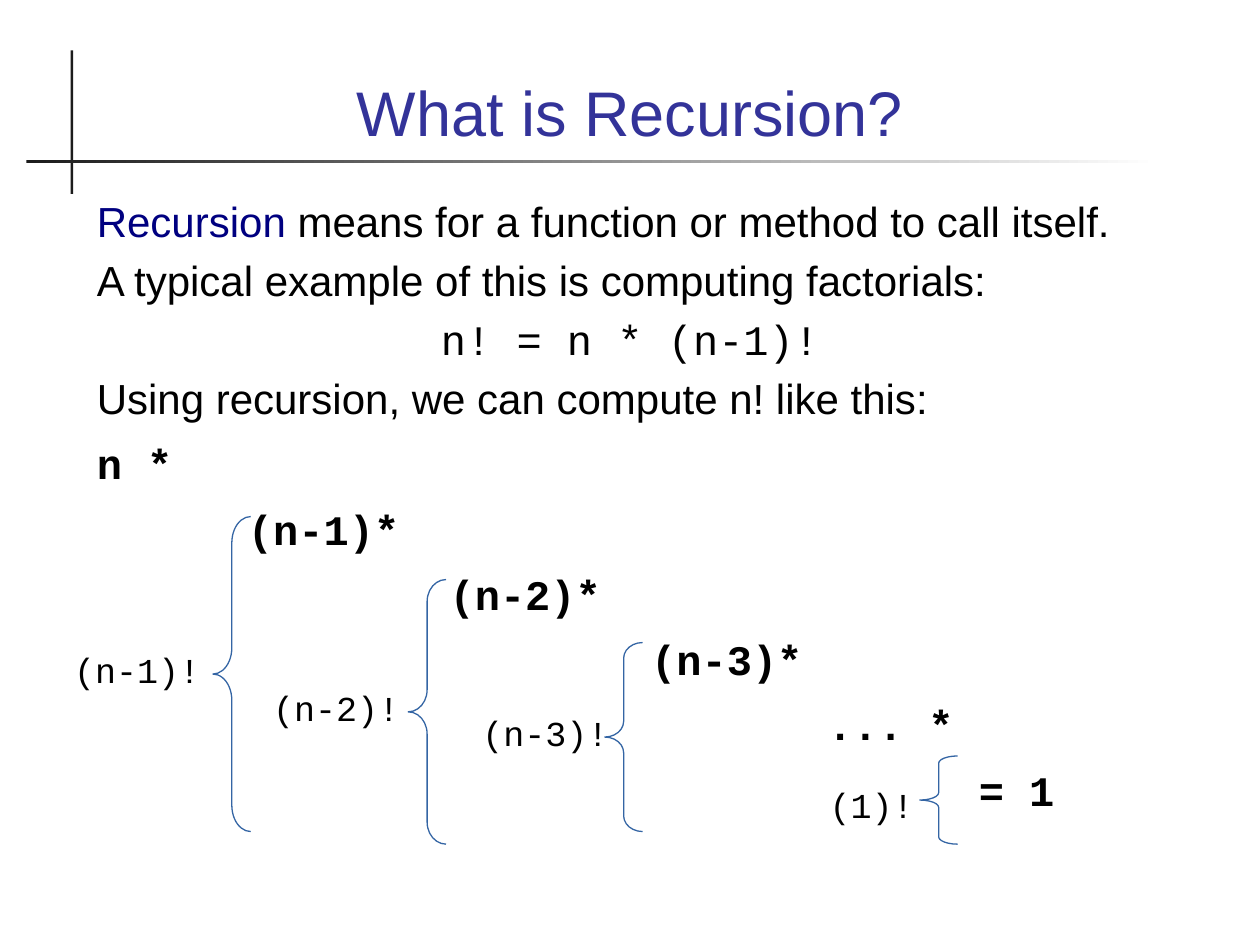
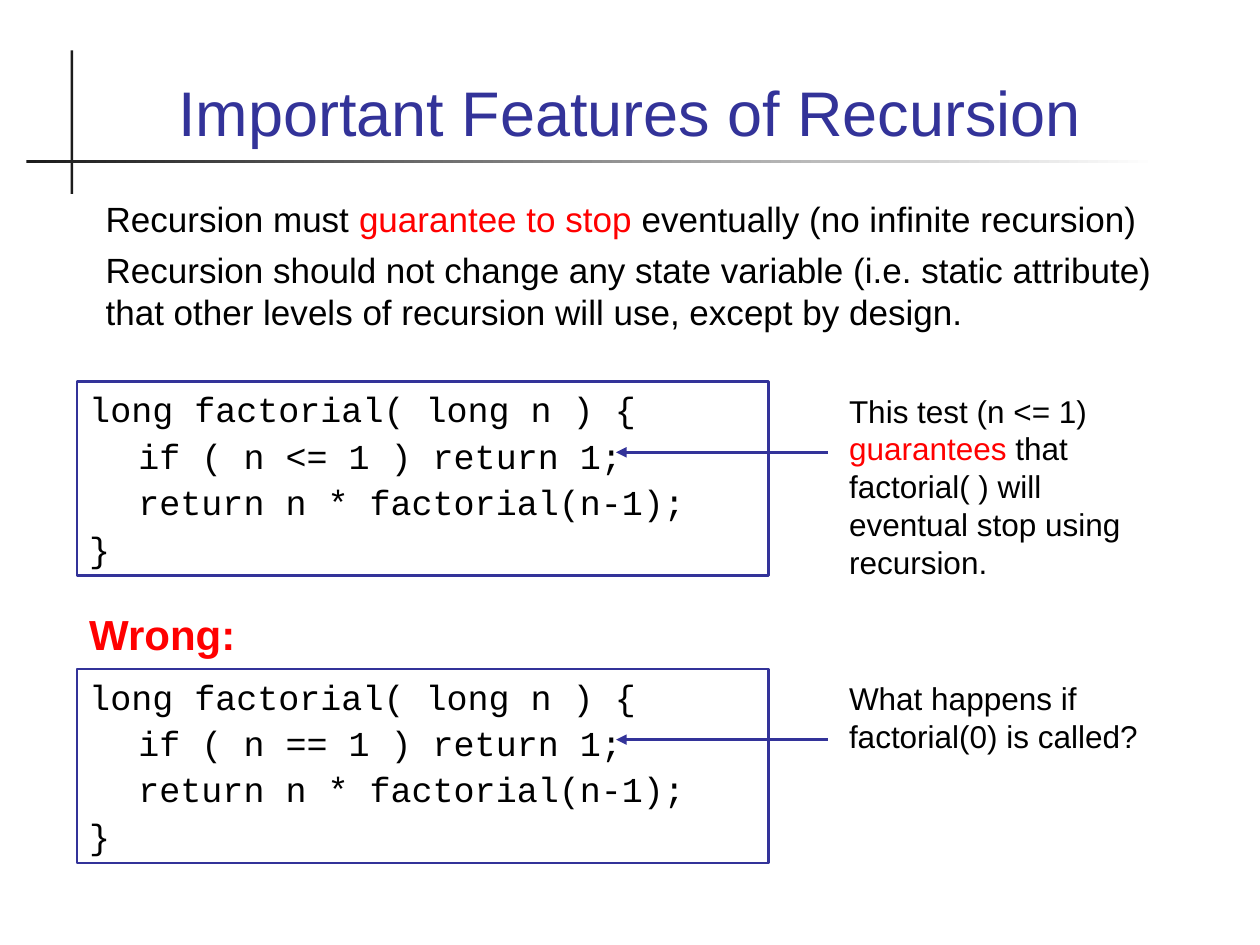
from lxml import etree
from pptx import Presentation
from pptx.dml.color import RGBColor
from pptx.enum.shapes import MSO_CONNECTOR, MSO_SHAPE
from pptx.enum.text import MSO_ANCHOR, PP_ALIGN
from pptx.oxml.ns import qn
from pptx.util import Inches, Pt

RECT, BRACE = MSO_SHAPE.RECTANGLE, MSO_SHAPE.LEFT_BRACE
LEFT, MID, RIGHT = PP_ALIGN.LEFT, PP_ALIGN.CENTER, PP_ALIGN.RIGHT
TOP, BOTTOM = MSO_ANCHOR.TOP, MSO_ANCHOR.BOTTOM
STRAIGHT = MSO_CONNECTOR.STRAIGHT

HEX = {"title": "333399", "term": "000080", "text": "000000", "alert": "FF0000",
       "rule": "1C1C1C", "fade": "FFFFFF", "brace": "3465A4"}
SANS, MONO = "Arial", "Courier New"
LEAD = 1.2      # line height as a multiple of the text size
CHAR = 0.2      # width of one 24 pt monospaced letter
TAB = 0.39

# Content: a paragraph is a list of (text, colour) runs
INTRO = [
    [("Recursion", "term"), (" means for a function or method to call itself.", "text")],
    [("A typical example of this is computing factorials:", "text")],
    [("n! = n * (n-1)!", "text")],
    [("Using recursion, we can compute n! like this:", "text")],
]
FORMULA = 2     # the centred line of INTRO
STEPS = [("n *", 0), ("(n-1)*", 6), ("(n-2)*", 14), ("(n-3)*", 22),
         ("... *", 29), ("= 1", 35)]        # text, indent in letters
BRACES = [(1.69, 4.1, 2.5), (3.24, 4.6, 2.1), (4.8, 5.1, 1.5), (7.3, 6, 0.7)]
LABELS = [("(n-1)!", (0.49, 5.1, 1.2, 0.5), LEFT),
          ("(n-2)!", (2.07, 5.4, 1.2, 0.5), LEFT),
          ("(n-3)!", (3.73, 5.6, 1.2, 0.5), LEFT),
          ("(1)!", (6.35, 6.17, 1, 0.43), RIGHT)]

RULES = [
    [("Recursion must ", "text"), ("guarantee to stop", "alert"),
     (" eventually (no infinite recursion)", "text")],
    [("Recursion should not change any state variable (i.e. static attribute) "
      "that other levels of recursion will use, except by design.", "text")],
]
CODE = ["long factorial( long n ) {", "\tif ( n {} 1 ) return 1;",
        "\treturn n * factorial(n-1);", "}"]
CASES = [   # top, comparison, note, note width and height
    (3.03, "<=", [("This test (n <= 1) ", "text"), ("guarantees", "alert"),
                  (" that factorial( ) will eventual stop using recursion.", "text")],
     (2.52, 1.6)),
    (5.31, "==", [("What happens if factorial(0) is called?", "text")], (2.66, 0.7)),
]


def rgb(name):
    return RGBColor.from_string(HEX[name])


def place(at):
    return [Inches(n) for n in at]


def write(frame, paras, size, font=SANS, bold=False, align=LEFT, gap=0, anchor=TOP):
    """Fill a text frame and return its paragraphs."""
    frame.word_wrap = True
    frame.vertical_anchor = anchor
    for i, runs in enumerate(paras):
        par = frame.paragraphs[0] if i == 0 else frame.add_paragraph()
        par.alignment = align
        par.line_spacing = Pt(size * LEAD)
        par.space_before = Pt(gap if i else 0)
        for text, color in runs:
            run = par.add_run()
            run.text = text
            run.font.size, run.font.name, run.font.bold = Pt(size), font, bold
            run.font.color.rgb = rgb(color)
    return frame.paragraphs


def add_text(slide, at, paras, size, **style):
    return write(slide.shapes.add_textbox(*place(at)).text_frame, paras, size, **style)


def add_form(slide, kind, at, line=None, width=0):
    form = slide.shapes.add_shape(kind, *place(at))
    form.shadow.inherit = False
    form.fill.background()
    if line:
        form.line.color.rgb = rgb(line)
        form.line.width = Pt(width)
    else:
        form.line.fill.background()
    return form


def add_arrow(slide, start, end):
    arrow = slide.shapes.add_connector(STRAIGHT, *place(start + end))
    arrow.line.color.rgb = rgb("title")
    arrow.line.width = Pt(1.5)
    props = arrow.element.spPr
    etree.SubElement(props.find(qn("a:ln")), qn("a:tailEnd"), type="triangle")
    etree.SubElement(props, qn("a:effectLst"))


def add_slide(deck, title):
    """Start a slide with the crossed rules and the title."""
    slide = deck.slides.add_slide(deck.slide_layouts[6])
    bar = add_form(slide, RECT, (0.56, 0.4, 0.02, 1.14))
    bar.fill.solid()
    bar.fill.fore_color.rgb = rgb("rule")
    rule = add_form(slide, RECT, (0.21, 1.27, 8.98, 0.02))
    rule.fill.gradient()
    rule.fill.gradient_angle = 0
    for stop, color in zip(rule.fill.gradient_stops, ("rule", "fade")):
        stop.color.rgb = rgb(color)
    add_text(slide, (0.67, 0.28, 8.66, 0.95), [[(title, "title")]], 36,
             align=MID, anchor=BOTTOM)
    return slide


def add_what(deck):
    slide = add_slide(deck, "What is Recursion?")
    steps = [[(text, "text")] for text, _ in STEPS]
    pars = add_text(slide, (0.67, 1.5, 8.66, 5.5), INTRO + steps, 24, gap=5)
    pars[FORMULA].alignment = MID
    pars[FORMULA].runs[0].font.name = MONO

    # Staircase of factors
    for par, (_, depth) in zip(pars[len(INTRO):], STEPS):
        par.space_before = Pt(8.5)
        par.runs[0].font.name, par.runs[0].font.bold = MONO, True
        props = par._p.get_or_add_pPr()
        props.set("marL", str(Inches(depth * CHAR)))
        props.set("indent", "0")

    # Braces and their labels
    wide = 0.3
    for left, top, high in BRACES:
        brace = add_form(slide, BRACE, (left, top, wide, high), "brace", 0.75)
        brace.adjustments[0] = high / 12 / wide
    for text, at, align in LABELS:
        add_text(slide, at, [[(text, "text")]], 20, font=MONO, align=align)


def add_features(deck):
    slide = add_slide(deck, "Important Features of Recursion")
    add_text(slide, (0.74, 1.52, 8.66, 1.32), RULES, 20, gap=5)
    add_text(slide, (0.61, 4.78, 2.52, 0.5), [[("Wrong:", "alert")]], 24, bold=True)

    # Code box, arrow and note for each case
    for top, test, note, size in CASES:
        box = add_form(slide, RECT, (0.61, top, 5.49, 1.54), "title", 1.5)
        lines = [[(line.replace("{}", test), "text")] for line in CODE]
        for par in write(box.text_frame, lines, 20, font=MONO, gap=2.5):
            tabs = etree.SubElement(par._p.get_or_add_pPr(), qn("a:tabLst"))
            etree.SubElement(tabs, qn("a:tab"), pos=str(Inches(TAB)), algn="l")
        add_arrow(slide, (6.57, top + 0.56), (4.89, top + 0.56))
        add_text(slide, (6.64, top + 0.03) + size, [note], 18)


def main():
    deck = Presentation()
    deck.slide_width, deck.slide_height = Inches(10), Inches(7.5)
    add_what(deck)
    add_features(deck)
    deck.save("out.pptx")


if __name__ == "__main__":
    main()
